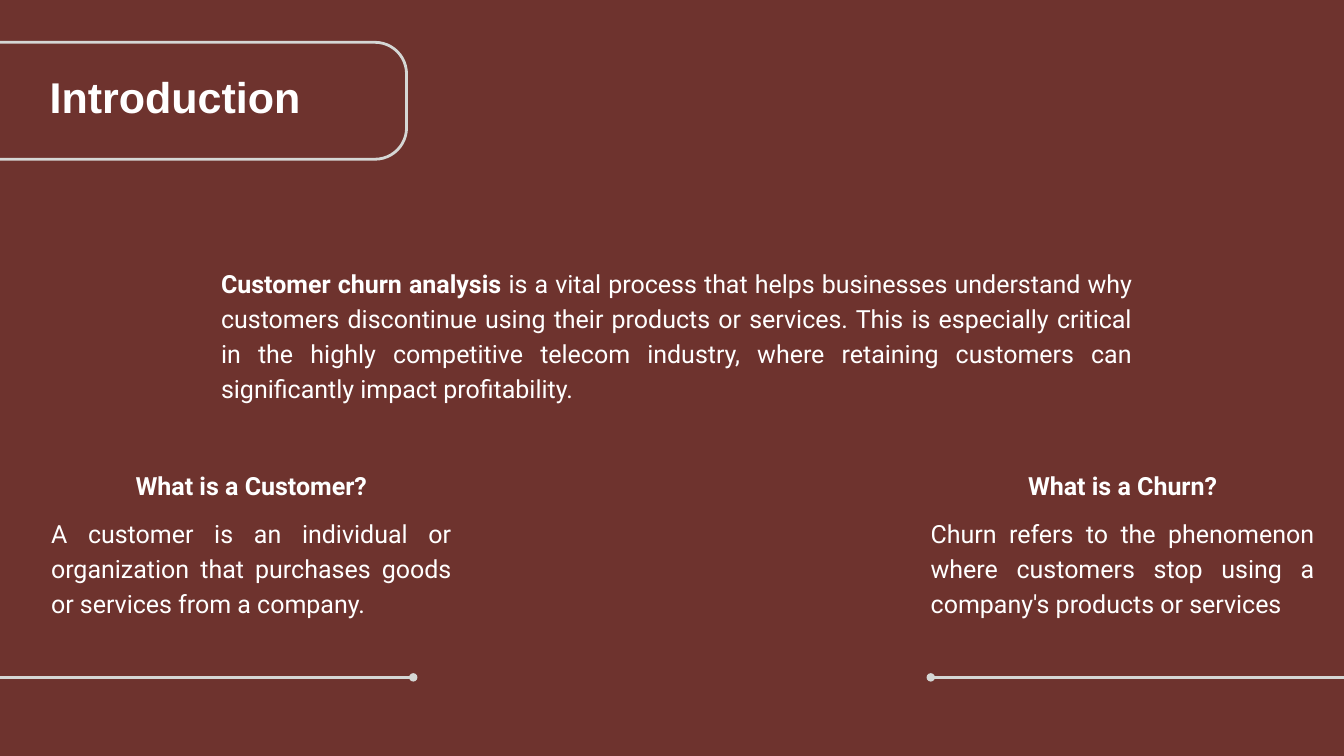
from collections import namedtuple
from dataclasses import dataclass

from lxml.etree import SubElement
from pptx import Presentation
from pptx.dml.color import RGBColor
from pptx.enum.shapes import MSO_CONNECTOR, MSO_SHAPE
from pptx.enum.text import PP_ALIGN
from pptx.oxml.ns import qn
from pptx.util import Inches, Pt

COLS, ROWS = 20, 11.25
Box = namedtuple("Box", "x y w h")


@dataclass(frozen=True)
class Theme:
    """Colours, fonts and type sizes of the deck."""
    back: RGBColor = RGBColor(0x6E, 0x33, 0x2E)
    ink: RGBColor = RGBColor(0xFF, 0xFF, 0xFF)
    edge: RGBColor = RGBColor(0xD5, 0xD7, 0xD5)
    head: str = "Arial"
    body: str = "Roboto"
    big: float = 46.1
    size: float = 26.8
    lead: float = 37.5
    gap: float = 13.7
    line: float = 3


THEME = Theme()


def grid(*cells):
    """Turn square grid cells, one inch each, into lengths."""
    return [Inches(cell) for cell in cells]


def frame(slide, box):
    """Add a wrapping text box without insets and return its text frame."""
    text = slide.shapes.add_textbox(*grid(*box)).text_frame
    text.word_wrap = True
    text.margin_left = text.margin_right = 0
    text.margin_top = text.margin_bottom = 0
    return text


def write(para, runs, align=PP_ALIGN.JUSTIFY, font=THEME.body,
          size=THEME.size, lead=THEME.lead):
    """Fill a paragraph with (words, bold) runs."""
    para.alignment = align
    para.line_spacing = Pt(lead)
    for words, bold in runs:
        run = para.add_run()
        run.text = words
        run.font.name = font
        run.font.size = Pt(size)
        run.font.bold = bold
        run.font.color.rgb = THEME.ink


def title(slide, box, words):
    """Draw the outlined tab that runs off the left edge, with its title."""
    tab = slide.shapes.add_shape(MSO_SHAPE.ROUNDED_RECTANGLE, *grid(*box))
    tab.adjustments[0] = 0.27
    tab.shadow.inherit = False
    tab.fill.background()
    tab.line.color.rgb = THEME.edge
    tab.line.width = Pt(THEME.line)
    area = Box(box.x + 2.18, box.y + 0.63, 4.75, 0.63)
    write(frame(slide, area).paragraphs[0], [(words, True)],
          PP_ALIGN.LEFT, THEME.head, THEME.big, 40.1)


def intro(slide, box, term, words):
    """Write the opening paragraph, led by a bold term."""
    write(frame(slide, box).paragraphs[0], [(term, True), (words, False)])


def topic(slide, box, ask, reply):
    """Write a centred question above its justified answer."""
    text = frame(slide, box)
    write(text.paragraphs[0], [(ask, True)], PP_ALIGN.CENTER)
    para = text.add_paragraph()
    para.space_before = Pt(THEME.gap)
    write(para, [(reply, False)])


def rule(slide, start, end, row):
    """Draw a level line with a dot at its end."""
    line = slide.shapes.add_connector(
        MSO_CONNECTOR.STRAIGHT, *grid(start, row, end, row))
    line.line.color.rgb = THEME.edge
    line.line.width = Pt(THEME.line)
    SubElement(line.line._get_or_add_ln(), qn("a:tailEnd"), type="oval")
    SubElement(line._element.spPr, qn("a:effectLst"))


def main():
    """Build the slide and save it."""
    deck = Presentation()
    deck.slide_width, deck.slide_height = grid(COLS, ROWS)
    slide = deck.slides.add_slide(deck.slide_layouts[6])
    slide.background.fill.solid()
    slide.background.fill.fore_color.rgb = THEME.back

    title(slide, Box(-1.44, 0.63, 7.49, 1.74), "Introduction")
    start, end = -1.22, 6.15
    rule(slide, start, end, 10.08)
    rule(slide, COLS - start, COLS - end, 10.08)
    intro(slide, Box(3.29, 3.92, 13.56, 2.57), "Customer churn analysis",
          " is a vital process that helps businesses understand why customers "
          "discontinue using their products or services. This is especially "
          "critical in the highly competitive telecom industry, where "
          "retaining customers can significantly impact profitability.")
    topics = [
        (0.76, 5.96, "What is a Customer?",
         "A customer is an individual or organization that purchases goods "
         "or services from a company."),
        (COLS - end, 5.71, "What is a Churn?",
         "Churn refers to the phenomenon where customers stop using a "
         "company's products or services"),
    ]
    for left, width, ask, reply in topics:
        topic(slide, Box(left, 6.93, width, 2.21), ask, reply)
    deck.save("out.pptx")


if __name__ == "__main__":
    main()
